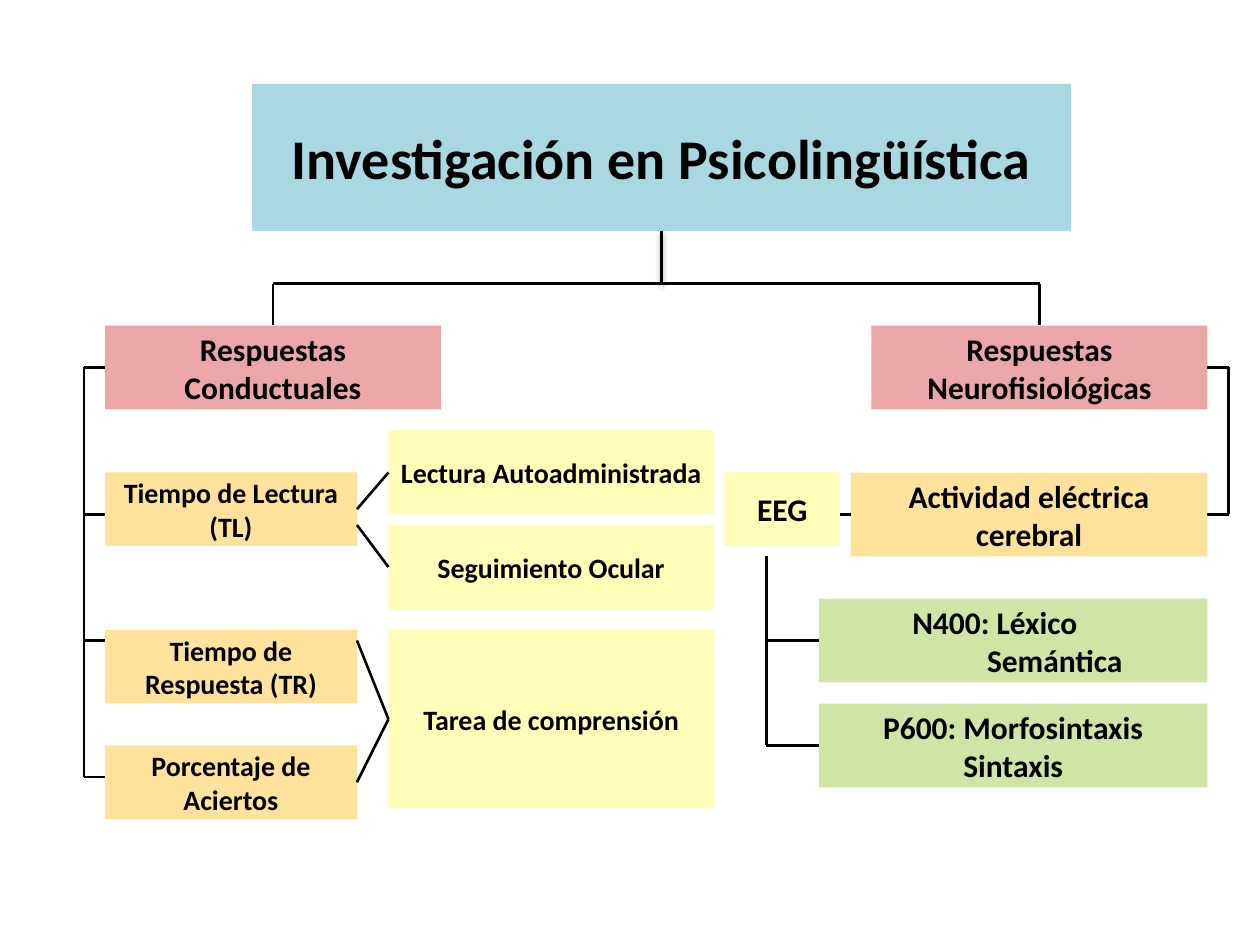
from pptx import Presentation
from pptx import util as u
from pptx.dml.color import RGBColor
from pptx.enum import shapes, text
from pptx.oxml.ns import qn
from lxml import etree

THEME = {
    "font": "Calibri", "ink": "000000", "line": 1.5,
    "blue": "A9D7E2", "red": "EBA7A8", "gold": "FFE39D",
    "cream": "FFFEB9", "green": "D0E4A6",
    "big": 32, "mid": 18, "small": 16,
}
COLS, ROWS = 120, 90

TITLE = ("Investigación en Psicolingüística", "blue", "big", (24, 8, 78, 14))
BOXES = [
    ("Respuestas Conductuales", "red", "mid", (10, 31, 32, 8)),
    ("Respuestas Neurofisiológicas", "red", "mid", (83, 31, 32, 8)),
    ("Tiempo de Lectura (TL)", "gold", "small", (10, 45, 24, 7)),
    ("Tiempo de Respuesta (TR)", "gold", "small", (10, 60, 24, 7)),
    ("Porcentaje de Aciertos", "gold", "small", (10, 71, 24, 7)),
    ("Lectura Autoadministrada", "cream", "small", (37, 41, 31, 8)),
    ("Seguimiento Ocular", "cream", "small", (37, 50, 31, 8)),
    ("Tarea de comprensión", "cream", "small", (37, 60, 31, 17)),
    ("EEG", "cream", "mid", (69, 45, 11, 7)),
    ("Actividad eléctrica cerebral", "gold", "mid", (81, 45, 34, 8)),
    ("N400: Léxico\nSemántica", "green", "mid", (78, 57, 37, 8)),
    ("P600: Morfosintaxis\nSintaxis", "green", "mid", (78, 67, 37, 8)),
]
INDENTS = {"N400: Léxico": ("marR", 0.29), "Semántica": ("marL", 0.95)}

STEM = [(63, 22), (63, 27)]
ROUTES = [
    [(26, 31), (26, 27), (63, 27), (99, 27), (99, 31)],
    [(10, 35), (8, 35), (8, 49), (8, 61), (8, 74), (10, 74)],
    [(8, 49), (10, 49)],
    [(8, 61), (10, 61)],
    [(34, 48.5), (37, 45)],
    [(34, 50), (37, 54)],
    [(34, 61), (37, 68.5), (34, 74.5)],
    [(115, 35), (117, 35), (117, 49), (115, 49)],
    [(80, 49), (81, 49)],
    [(73, 53), (73, 61), (73, 71), (78, 71)],
    [(73, 61), (78, 61)],
]

deck = Presentation()
deck.slide_width, deck.slide_height = u.Inches(10), u.Inches(7.5)
slide = deck.slides.add_slide(deck.slide_layouts[5])
unit_x, unit_y = deck.slide_width / COLS, deck.slide_height / ROWS
sites = {}


def color(name):
    return RGBColor.from_string(THEME[name])


def spot(x, y):
    return round(x * unit_x), round(y * unit_y)


def style(box, words, fill, size, grid):
    x, y, w, h = grid
    (left, top), (width, height) = spot(x, y), spot(w, h)
    place = {"left": left, "top": top, "width": width, "height": height}
    for key, val in place.items():
        setattr(box, key, val)
    box.fill.solid()
    box.fill.fore_color.rgb = color(fill)
    box.line.fill.background()
    frame = box.text_frame
    frame.text = words
    form = {"word_wrap": True, "auto_size": text.MSO_AUTO_SIZE.NONE,
            "vertical_anchor": text.MSO_ANCHOR.MIDDLE}
    for key, val in form.items():
        setattr(frame, key, val)
    face = {"name": THEME["font"], "size": u.Pt(THEME[size]), "bold": True}
    for para in frame.paragraphs:
        para.alignment = text.PP_ALIGN.CENTER
        if para.text in INDENTS:
            side, gap = INDENTS[para.text]
            para._p.get_or_add_pPr().set(side, str(u.Inches(gap)))
        for run in para.runs:
            for key, val in face.items():
                setattr(run.font, key, val)
            run.font.color.rgb = color("ink")
    mids = [(x + w / 2, y), (x, y + h / 2), (x + w / 2, y + h), (x + w, y + h / 2)]
    for i, mid in enumerate(mids):
        sites[mid] = (box, i)


def link(start, end, shadow=False):
    wire = slide.shapes.add_connector(
        shapes.MSO_CONNECTOR.STRAIGHT, *spot(*start), *spot(*end))
    wire.line.color.rgb = color("ink")
    wire.line.width = u.Pt(THEME["line"])
    if not shadow:
        etree.SubElement(wire._element.spPr, qn("a:effectLst"))
    for point, join in ((start, wire.begin_connect), (end, wire.end_connect)):
        if point in sites:
            join(*sites[point])


style(slide.shapes.title, *TITLE)
for item in BOXES:
    box = slide.shapes.add_shape(shapes.MSO_SHAPE.RECTANGLE, 0, 0, 0, 0)
    box.shadow.inherit = False
    style(box, *item)

link(*STEM, shadow=True)
for route in ROUTES:
    for start, end in zip(route, route[1:]):
        link(start, end)

deck.save("out.pptx")
